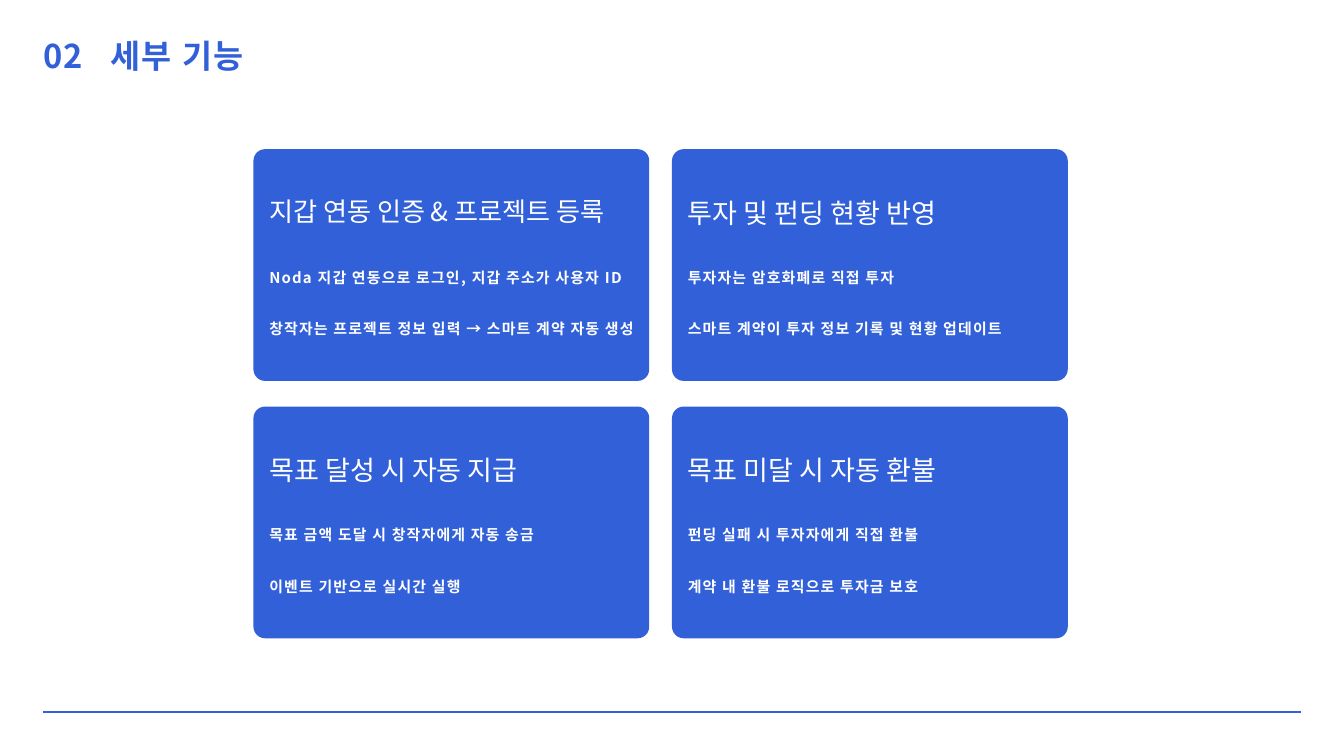
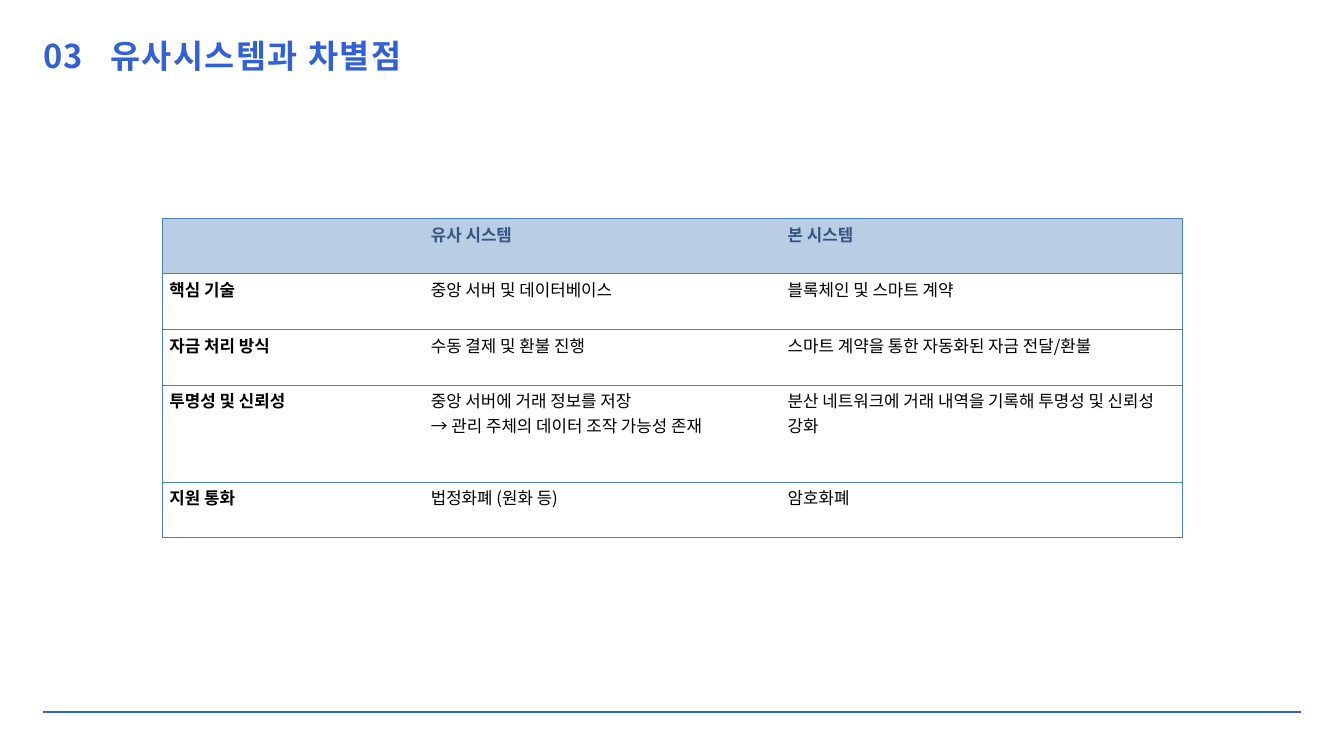
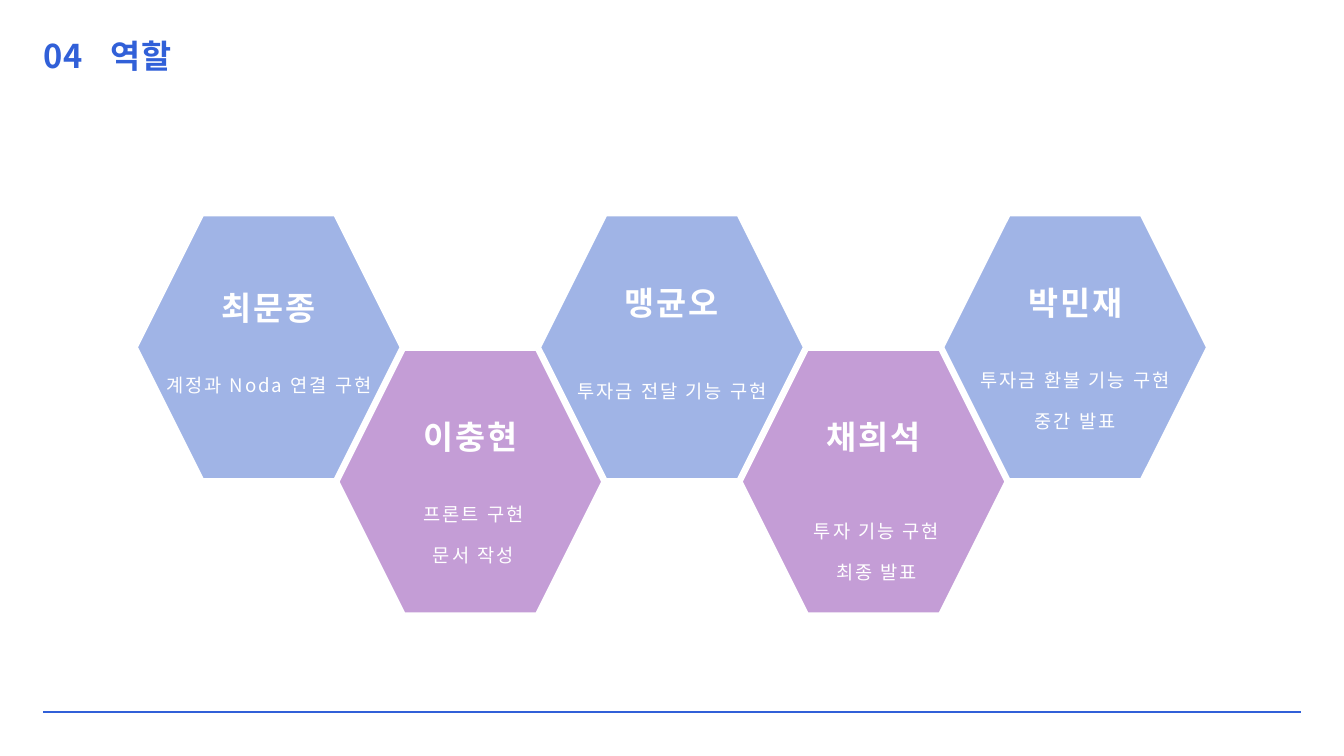
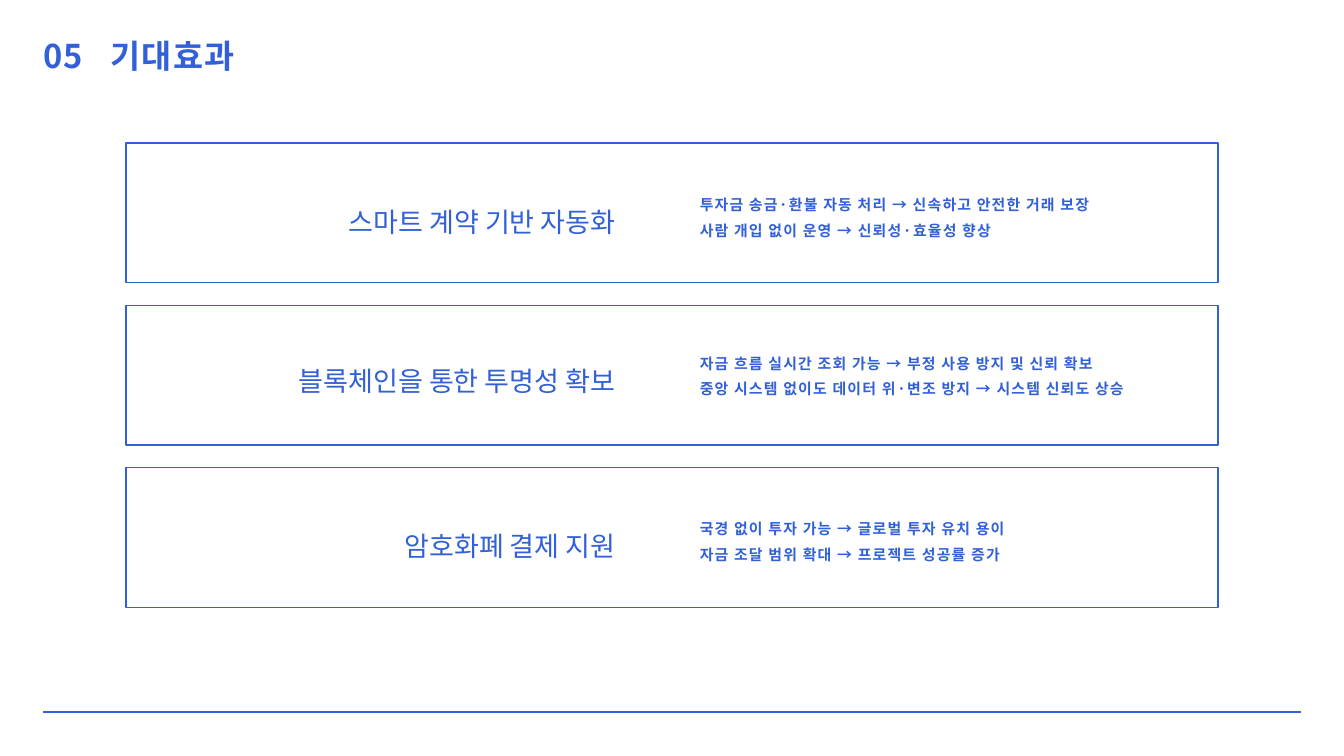
from dataclasses import dataclass
from typing import NamedTuple

from lxml import etree
from pptx import Presentation
from pptx.dml.color import RGBColor
from pptx.enum.shapes import MSO_CONNECTOR, MSO_SHAPE
from pptx.enum.text import MSO_AUTO_SIZE, PP_ALIGN
from pptx.oxml.ns import qn
from pptx.util import Cm, Pt

STRAIGHT = MSO_CONNECTOR.STRAIGHT
RECTANGLE = MSO_SHAPE.RECTANGLE
ROUNDED = MSO_SHAPE.ROUNDED_RECTANGLE
HEXAGON = MSO_SHAPE.HEXAGON
GROW = MSO_AUTO_SIZE.SHAPE_TO_FIT_TEXT
LEFT, CENTER, RIGHT = PP_ALIGN.LEFT, PP_ALIGN.CENTER, PP_ALIGN.RIGHT


@dataclass(frozen=True)
class Theme:
    font: str = "Noto Sans CJK KR"
    # Colours
    blue: str = "3160D8"
    white: str = "FFFFFF"
    black: str = "000000"
    soft_blue: str = "A0B4E6"
    soft_purple: str = "C49DD6"
    header_fill: str = "B9CDE5"
    header_text: str = "35577F"
    grid: str = "4B7EBC"
    # Type sizes
    title: float = 35
    heading: float = 29
    tight_heading: float = 28
    duty: float = 20
    cell: float = 18
    detail: float = 16


THEME = Theme()


class Box(NamedTuple):
    """A region in centimetres."""
    left: float
    top: float
    width: float
    height: float

    def inner(self, dx, dy, width, height):
        return Box(self.left + dx, self.top + dy, width, height)

    def lengths(self):
        return [Cm(value) for value in self]


class Style(NamedTuple):
    size: float
    color: str
    bold: bool = False
    leading: float = None
    tracking: float = 0
    align: int = LEFT
    gap: float = 0


def title_style():
    return Style(THEME.title, THEME.blue, True, 33, 1.6)


def heading_style(color, size=THEME.heading, align=LEFT):
    return Style(size, color, leading=55.9, align=align)


def detail_style(color, gap=0):
    return Style(THEME.detail, color, True, 27.5, 1.3, gap=gap)


# ---- Shared helpers ----

def apply_formats(target, formats):
    for name, value in formats.items():
        setattr(target, name, value)


def write_lines(frame, lines, style):
    for number, line in enumerate(lines):
        paragraph = frame.paragraphs[0] if number == 0 else frame.add_paragraph()
        apply_formats(paragraph, {"alignment": style.align})
        if style.leading:
            paragraph.line_spacing = Pt(style.leading)
        if style.gap and number < len(lines) - 1:
            paragraph.space_after = Pt(style.gap)
        run = paragraph.add_run()
        run.text = line
        apply_formats(run.font, {"name": THEME.font, "size": Pt(style.size),
                                 "bold": style.bold})
        run.font.color.rgb = RGBColor.from_string(style.color)
        properties = run._r.get_or_add_rPr()
        if style.tracking:
            properties.set("spc", str(round(style.tracking * 100)))
        # Korean glyphs take the East Asian typeface
        east_asian = etree.Element(qn("a:ea"), typeface=THEME.font)
        properties.find(qn("a:latin")).addnext(east_asian)


def add_text(slide, box, lines, style):
    frame = slide.shapes.add_textbox(*box.lengths()).text_frame
    apply_formats(frame, {"word_wrap": True, "auto_size": GROW,
                          "margin_left": 0, "margin_top": 0,
                          "margin_right": 0, "margin_bottom": 0})
    write_lines(frame, lines, style)
    return frame


def add_panel(slide, preset, box, fill=None, line=None, line_width=1.5):
    panel = slide.shapes.add_shape(preset, *box.lengths())
    panel.shadow.inherit = False
    for paint, color in ((panel.fill, fill), (panel.line.fill, line)):
        if color:
            paint.solid()
            paint.fore_color.rgb = RGBColor.from_string(color)
        else:
            paint.background()
    if line:
        panel.line.width = Pt(line_width)
    return panel


def add_base_slide(deck, number, title):
    slide = deck.slides.add_slide(deck.slide_layouts[6])
    # Footer rule
    rule = slide.shapes.add_connector(STRAIGHT, Cm(1.63), Cm(26.92),
                                      Cm(49.17), Cm(26.92))
    rule.line.color.rgb = RGBColor.from_string(THEME.blue)
    rule.line.width = Pt(1.5)
    etree.SubElement(rule._element.spPr, qn("a:effectLst"))
    # Title: the number hangs in front of the name
    frame = add_text(slide, Box(1.63, 1.68, 14.66, 1.14),
                     [f"{number}\t{title}"], title_style())
    hang = Cm(2.54)
    properties = frame.paragraphs[0]._p.get_or_add_pPr()
    properties.set("marL", str(hang))
    properties.set("indent", str(-hang))
    return slide


# ---- 02 Feature cards ----

def add_feature_card(slide, box, heading, details, size, heading_top):
    card = add_panel(slide, ROUNDED, box, fill=THEME.blue)
    card.adjustments[0] = 0.05
    add_text(slide, box.inner(0.6, 4.22, 13.97, 2.85), details,
             detail_style(THEME.white, gap=27.5))
    add_text(slide, box.inner(0.6, heading_top, 13.77, 1.98), [heading],
             heading_style(THEME.white, size))


def build_features(deck):
    slide = add_base_slide(deck, "02", "세부 기능")
    normal = (THEME.heading, 1.03)
    tight = (THEME.tight_heading, 0.95)
    features = [
        ("지갑 연동 인증 & 프로젝트 등록",
         ["Noda 지갑 연동으로 로그인, 지갑 주소가 사용자 ID",
          "창작자는 프로젝트 정보 입력 → 스마트 계약 자동 생성"], tight),
        ("투자 및 펀딩 현황 반영",
         ["투자자는 암호화폐로 직접 투자",
          "스마트 계약이 투자 정보 기록 및 현황 업데이트"], normal),
        ("목표 달성 시 자동 지급",
         ["목표 금액 도달 시 창작자에게 자동 송금",
          "이벤트 기반으로 실시간 실행"], normal),
        ("목표 미달 시 자동 환불",
         ["펀딩 실패 시 투자자에게 직접 환불",
          "계약 내 환불 로직으로 투자금 보호"], normal),
    ]
    first = Box(9.58, 5.64, 14.96, 8.76)
    for index, (heading, details, fit) in enumerate(features):
        row, column = divmod(index, 2)
        box = first._replace(left=first.left + column * 15.82,
                             top=first.top + row * 9.73)
        add_feature_card(slide, box, heading, details, *fit)


# ---- 03 Comparison table ----

def set_cell_borders(cell, visible_sides):
    properties = cell._tc.get_or_add_tcPr()
    for side in "LRTB":
        border = etree.SubElement(properties, qn(f"a:ln{side}"),
                                  w=str(Pt(0.75)))
        if side in visible_sides:
            paint = etree.SubElement(border, qn("a:solidFill"))
            etree.SubElement(paint, qn("a:srgbClr"), val=THEME.grid)
        else:
            etree.SubElement(border, qn("a:noFill"))


def add_comparison(slide, box, widths, heights, rows):
    table = slide.shapes.add_table(len(rows), len(widths),
                                   *box.lengths()).table
    apply_formats(table, {"first_row": False, "horz_banding": False})
    for column, width in zip(table.columns, widths):
        column.width = Cm(width)
    last = len(widths) - 1
    for r, (height, texts) in enumerate(zip(heights, rows)):
        table.rows[r].height = Cm(height)
        for c, text in enumerate(texts):
            cell = table.cell(r, c)
            # Outer frame and row lines only
            set_cell_borders(cell, "TB" + "L" * (c == 0) + "R" * (c == last))
            if r == 0:
                cell.fill.solid()
                cell.fill.fore_color.rgb = RGBColor.from_string(
                    THEME.header_fill)
            else:
                cell.fill.background()
            color = THEME.header_text if r == 0 else THEME.black
            write_lines(cell.text_frame, text.split("\n"),
                        Style(THEME.cell, color, bold=r == 0 or c == 0))


def build_comparison(deck):
    slide = add_base_slide(deck, "03", "유사시스템과 차별점")
    widths = [9.88, 13.49, 15.16]
    heights = [2.08, 2.11, 2.11, 3.66, 2.11]
    rows = [
        ("", "유사 시스템", "본 시스템"),
        ("핵심 기술", "중앙 서버 및 데이터베이스", "블록체인 및 스마트 계약"),
        ("자금 처리 방식", "수동 결제 및 환불 진행",
         "스마트 계약을 통한 자동화된 자금 전달/환불"),
        ("투명성 및 신뢰성",
         "중앙 서버에 거래 정보를 저장\n→ 관리 주체의 데이터 조작 가능성 존재",
         "분산 네트워크에 거래 내역을 기록해 투명성 및 신뢰성 강화"),
        ("지원 통화", "법정화폐 (원화 등)", "암호화폐"),
    ]
    box = Box(6.15, 8.26, sum(widths), sum(heights))
    add_comparison(slide, box, widths, heights, rows)


# ---- 04 Role hexagons ----

def add_role(slide, box, color, name, duties, name_top, duty_left, duty_top):
    add_panel(slide, HEXAGON, box, fill=color, line=THEME.white, line_width=2)
    name_style = Style(THEME.title, THEME.white, True, 44, 2.1, CENTER)
    duty_style = name_style._replace(size=THEME.duty, bold=False)
    add_text(slide, box.inner(0.74, name_top, 8.48, 1.55), [name], name_style)
    add_text(slide, box.inner(duty_left, duty_top, 9.22 - duty_left,
                              1.55 * len(duties)), duties, duty_style)


def build_roles(deck):
    slide = add_base_slide(deck, "04", "역할")
    # Name, duties, then offsets of name top, duty left and duty top
    roles = [
        ("최문종", ["계정과 Noda 연결 구현"], 2.67, 0.74, 5.28),
        ("이충현", ["프론트 구현", "문서 작성"], 2.46, 0.97, 5.08),
        ("맹균오", ["투자금 전달 기능 구현"], 2.46, 0.74, 5.51),
        ("채희석", ["투자 기능 구현", "최종 발표"], 2.46, 0.97, 5.72),
        ("박민재", ["투자금 환불 기능 구현", "중간 발표"], 2.46, 0.74, 5.08),
    ]
    colors = [THEME.soft_blue, THEME.soft_purple]
    for index, role in enumerate(roles):
        lowered = index % 2
        box = Box(5.18 + index * 7.62, 8.15 + lowered * 5.08, 9.96, 9.96)
        add_role(slide, box, colors[lowered], *role)


# ---- 05 Expected effects ----

def add_effect(slide, box, heading, details, text_top):
    add_panel(slide, RECTANGLE, box, line=THEME.blue)
    add_text(slide, box.inner(21.69, text_top + 0.08, 19.05, 1.9), details,
             detail_style(THEME.blue))
    add_text(slide, box.inner(3.49, text_top, 15.03, 1.98), [heading],
             heading_style(THEME.blue, align=RIGHT))


def build_effects(deck):
    slide = add_base_slide(deck, "05", "기대효과")
    effects = [
        ("스마트 계약 기반 자동화",
         ["투자금 송금·환불 자동 처리 → 신속하고 안전한 거래 보장",
          "사람 개입 없이 운영 → 신뢰성·효율성 향상"], 1.62),
        ("블록체인을 통한 투명성 확보",
         ["자금 흐름 실시간 조회 가능 → 부정 사용 방지 및 신뢰 확보",
          "중앙 시스템 없이도 데이터 위·변조 방지 → 시스템 신뢰도 상승"], 1.48),
        ("암호화폐 결제 지원",
         ["국경 없이 투자 가능 → 글로벌 투자 유치 용이",
          "자금 조달 범위 확대 → 프로젝트 성공률 증가"], 1.6),
    ]
    for index, effect in enumerate(effects):
        add_effect(slide, Box(4.76, 5.4 + index * 6.14, 41.28, 5.29), *effect)


def main():
    deck = Presentation()
    apply_formats(deck, {"slide_width": Cm(50.8), "slide_height": Cm(28.58)})
    for build in (build_features, build_comparison, build_roles,
                  build_effects):
        build(deck)
    deck.save("out.pptx")


if __name__ == "__main__":
    main()
